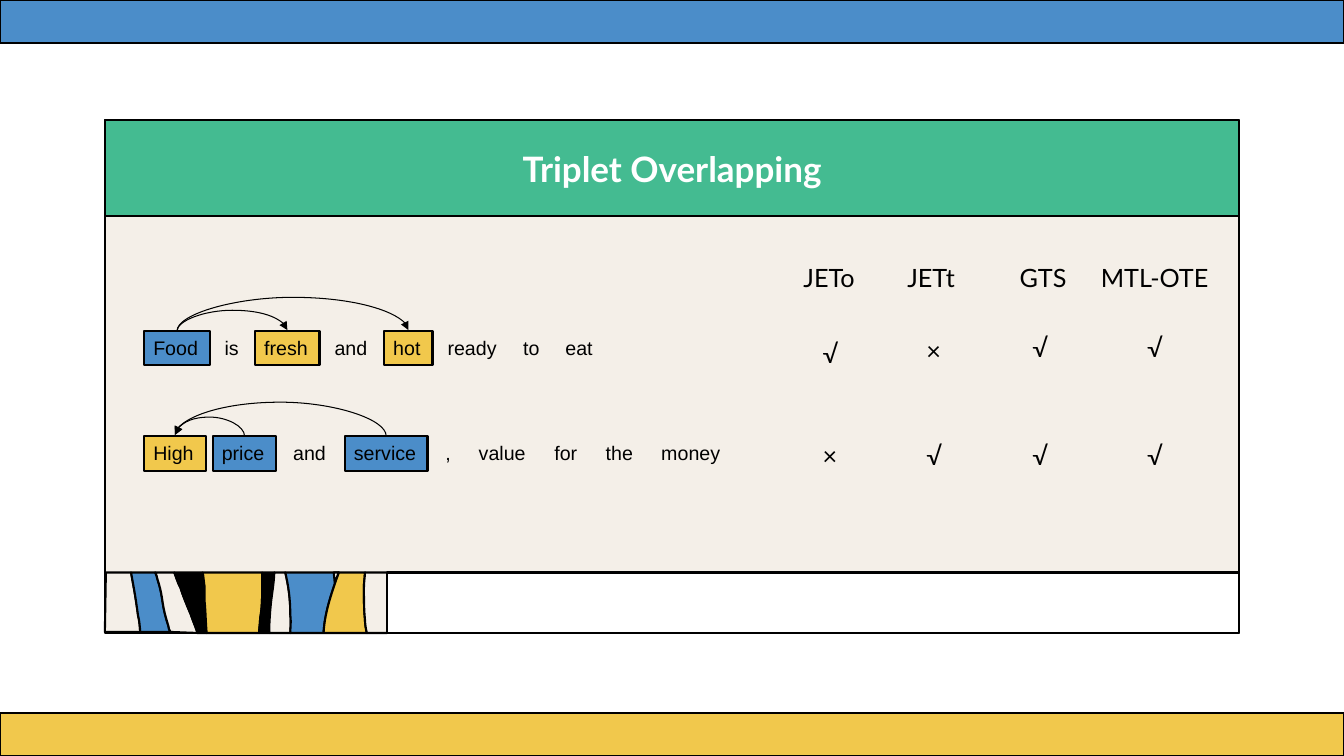
from itertools import pairwise

from lxml import etree
from pptx import Presentation
from pptx.dml.color import RGBColor
from pptx.enum.shapes import MSO_CONNECTOR, MSO_SHAPE
from pptx.enum.text import MSO_ANCHOR, MSO_AUTO_SIZE, PP_ALIGN
from pptx.oxml.ns import qn
from pptx.util import Inches, Pt

RECT = MSO_SHAPE.RECTANGLE
CURVE = MSO_CONNECTOR.CURVE
TOP, MIDDLE = MSO_ANCHOR.TOP, MSO_ANCHOR.MIDDLE
LEFT, CENTER = PP_ALIGN.LEFT, PP_ALIGN.CENTER
GROW, FIXED = MSO_AUTO_SIZE.SHAPE_TO_FIT_TEXT, MSO_AUTO_SIZE.NONE

BLACK = RGBColor(0x00, 0x00, 0x00)
WHITE = RGBColor(0xFF, 0xFF, 0xFF)
CREAM = RGBColor(0xF4, 0xEF, 0xE8)
BLUE = RGBColor(0x4B, 0x8D, 0xC9)
GOLD = RGBColor(0xF1, 0xC8, 0x4C)
GREEN = RGBColor(0x44, 0xBB, 0x91)

EDGES = [
    [(1.05, 5.68), (1.04, 6.27)],
    [(1.3, 5.68), (1.33, 5.85), (1.34, 5.89), (1.37, 6.11),
     (1.38, 6.14), (1.39, 6.23), (1.39, 6.27)],
    [(1.54, 5.68), (1.55, 5.71), (1.56, 5.72), (1.56, 5.74), (1.63, 5.96),
     (1.59, 5.96), (1.67, 6.21), (1.67, 6.23), (1.68, 6.25), (1.69, 6.27)],
    [(1.73, 5.68), (1.74, 5.71), (1.77, 5.8), (1.79, 5.83), (1.81, 5.9),
     (1.86, 6.02), (1.89, 6.09), (1.91, 6.15), (1.94, 6.22), (1.96, 6.28)],
    [(2.01, 5.68), (2.02, 5.72), (2.02, 5.77), (2.03, 5.82), (2.03, 5.87),
     (2.03, 5.92), (2.03, 5.97), (2.04, 6.07), (2.04, 6.17), (2.05, 6.28)],
    [(2.6, 5.68), (2.6, 5.71), (2.6, 5.74), (2.6, 5.82), (2.6, 5.95),
     (2.6, 6.02), (2.58, 6.14), (2.58, 6.19), (2.57, 6.23), (2.57, 6.28)],
    [(2.72, 5.68), (2.72, 5.75), (2.7, 5.88), (2.69, 5.96),
     (2.68, 6.05), (2.67, 6.17), (2.67, 6.28)],
    [(2.83, 5.68), (2.86, 5.81), (2.88, 5.93), (2.88, 6.1),
     (2.89, 6.19), (2.88, 6.22), (2.88, 6.28)],
    [(3.36, 5.68), (3.31, 5.83), (3.22, 6.06), (3.21, 6.28)],
    [(3.62, 5.68), (3.62, 5.73), (3.61, 5.77), (3.61, 5.83), (3.61, 5.92),
     (3.61, 6.05), (3.62, 6.14), (3.62, 6.18), (3.63, 6.25), (3.64, 6.28)],
    [(3.84, 5.68), (3.84, 6.28)],
]
FILLS = [CREAM, BLUE, CREAM, BLACK, GOLD, BLACK, CREAM, BLUE, GOLD, CREAM]
FOOD = [("Food", 1.43, 0.65, BLUE), ("is", 2.13, 0.34, None),
        ("fresh", 2.53, 0.64, GOLD), ("and", 3.22, 0.53, None),
        ("hot", 3.81, 0.48, GOLD), ("ready", 4.34, 0.69, None),
        ("to", 5.09, 0.36, None), ("eat", 5.51, 0.47, None)]
PRICE = [("High", 1.43, 0.61, GOLD), ("price", 2.11, 0.63, BLUE),
         ("and", 2.81, 0.53, None), ("service", 3.42, 0.82, BLUE),
         (",", 4.32, 0.26, None), ("value", 4.65, 0.67, None),
         ("for", 5.4, 0.43, None), ("the", 5.91, 0.47, None),
         ("money", 6.46, 0.79, None)]
MODELS = [("JETo", 8.28, 0.82, [("√", 3.31), ("×", 4.32)]),
          ("JETt", 9.31, 0.82, [("×", 3.28), ("√", 4.32)]),
          ("GTS", 10.36, 0.69, [("√", 3.25), ("√", 4.32)]),
          ("MTL-OTE", 11.5, 1.36, [("√", 3.25), ("√", 4.32)])]


def write(shape, text, size=14, font="Arial", color=BLACK, bold=False, align=LEFT,
          anchor=TOP, wrap=False, fit=GROW, pad=0.1):
    """Put formatted text into a shape."""
    frame = shape.text_frame
    frame.word_wrap = wrap
    frame.auto_size = fit
    frame.vertical_anchor = anchor
    frame.margin_left = frame.margin_right = Inches(pad)
    para = frame.paragraphs[0]
    para.alignment = align
    run = para.add_run()
    run.text = text
    run.font.size = Pt(size)
    run.font.name = font
    run.font.bold = bold
    run.font.color.rgb = color


def bend(lines):
    """Turn each three line segments into one cubic curve."""
    for i in range(0, len(lines) - 2, 3):
        curve = etree.Element(qn("a:cubicBezTo"))
        lines[i].addprevious(curve)
        for line in lines[i:i + 3]:
            curve.append(line[0])
            line.getparent().remove(line)


class Canvas:
    """Draws styled elements on one slide."""

    def __init__(self, slide, line=1.5, thin=0.75):
        self.shapes = slide.shapes
        self.line = Pt(line)
        self.thin = Pt(thin)

    def paint(self, shape, fill):
        """Give a shape its fill and black outline."""
        shape.shadow.inherit = False
        shape.fill.solid()
        shape.fill.fore_color.rgb = fill
        shape.line.color.rgb = BLACK
        shape.line.width = self.line
        return shape

    def box(self, x, y, w, h, fill):
        """Draw a filled rectangle."""
        return self.paint(self.shapes.add_shape(
            RECT, Inches(x), Inches(y), Inches(w), Inches(h)), fill)

    def label(self, text, x, y, w, h, **style):
        """Draw a text box."""
        area = self.shapes.add_textbox(Inches(x), Inches(y), Inches(w), Inches(h))
        write(area, text, **style)

    def patch(self, points, fill):
        """Draw a closed outline."""
        points = [(Inches(x), Inches(y)) for x, y in points]
        form = self.shapes.build_freeform(*points[0])
        form.add_line_segments(points[1:], close=True)
        return self.paint(form.convert_to_shape(), fill)

    def stripe(self, left, right, fill):
        """Draw a band between two curved edges."""
        shape = self.patch(left + right[::-1], fill)
        lines = list(shape._element.iter(qn("a:lnTo")))
        bend(lines[:len(left) - 1])
        bend(lines[len(left):])

    def words(self, row, y, h=0.34):
        """Set a sentence word by word and return the word centres."""
        for text, x, w, fill in row:
            if fill is None:
                self.label(text, x, y, w, h)
            else:
                write(self.box(x, y, w, h, fill), text, pad=0.09)
        return {text: x + w / 2 for text, x, w, fill in row}

    def arc(self, start, end, y, rise, thick=0.01):
        """Draw a curved arrow that bows upward between two words."""
        mid, half = (start + end) / 2, abs(end - start) / 2
        link = self.shapes.add_connector(
            CURVE, Inches(mid - thick / 2), Inches(y - half),
            Inches(mid + thick / 2), Inches(y + half))
        link.line.color.rgb = BLACK
        link.line.width = self.thin
        props = link._element.spPr
        frame = props.find(qn("a:xfrm"))
        frame.set("rot", str((90 if end > start else 270) * 60000))
        frame.set("flipV", "1")
        if end > start:
            frame.set("flipH", "1")
        guides = props.find(qn("a:prstGeom")).get_or_add_avLst()
        etree.SubElement(guides, qn("a:gd"), name="adj1",
                         fmla=f"val {round(rise / thick * 100000)}")
        etree.SubElement(props.find(qn("a:ln")), qn("a:tailEnd"), type="triangle")
        etree.SubElement(props, qn("a:effectLst"))


def main():
    """Build and save the slide."""
    deck = Presentation()
    deck.slide_width, deck.slide_height = Inches(13.33), Inches(7.5)
    art = Canvas(deck.slides.add_slide(deck.slide_layouts[6]))

    art.box(1.04, 1.19, 11.25, 5.09, CREAM)
    for (left, right), fill in zip(pairwise(EDGES), FILLS):
        art.stripe(left, right, fill)
    art.patch([(3.32, 5.78), (3.36, 5.68), (3.31, 5.68)], CREAM)
    art.box(3.84, 5.68, 8.45, 0.6, WHITE)
    art.box(1.04, 1.19, 11.25, 0.95, GREEN)
    art.box(0, 0, 13.33, 0.43, BLUE)
    art.box(0, 7.07, 13.33, 0.43, GOLD)
    art.label("Triplet Overlapping", 1.04, 1.3, 11.25, 0.75, size=25, font="Lato",
              color=WHITE, bold=True, align=CENTER, anchor=MIDDLE, wrap=True, fit=FIXED)

    spots = art.words(FOOD, 3.28)
    art.arc(spots["Food"], spots["fresh"], 3.28, 0.21)
    art.arc(spots["Food"], spots["hot"], 3.28, 0.34)
    spots = art.words(PRICE, 4.33)
    art.arc(spots["price"], spots["High"], 4.32, 0.19)
    art.arc(spots["service"], spots["High"], 4.32, 0.34)

    for name, mid, w, marks in MODELS:
        art.label(name, mid - w / 2, 2.55, w, 0.4, size=18, font="Lato")
        for mark, y in marks:
            art.label(mark, mid - 0.22, y, 0.45, 0.4, size=18, font="Lato")
    deck.save("out.pptx")


if __name__ == "__main__":
    main()
